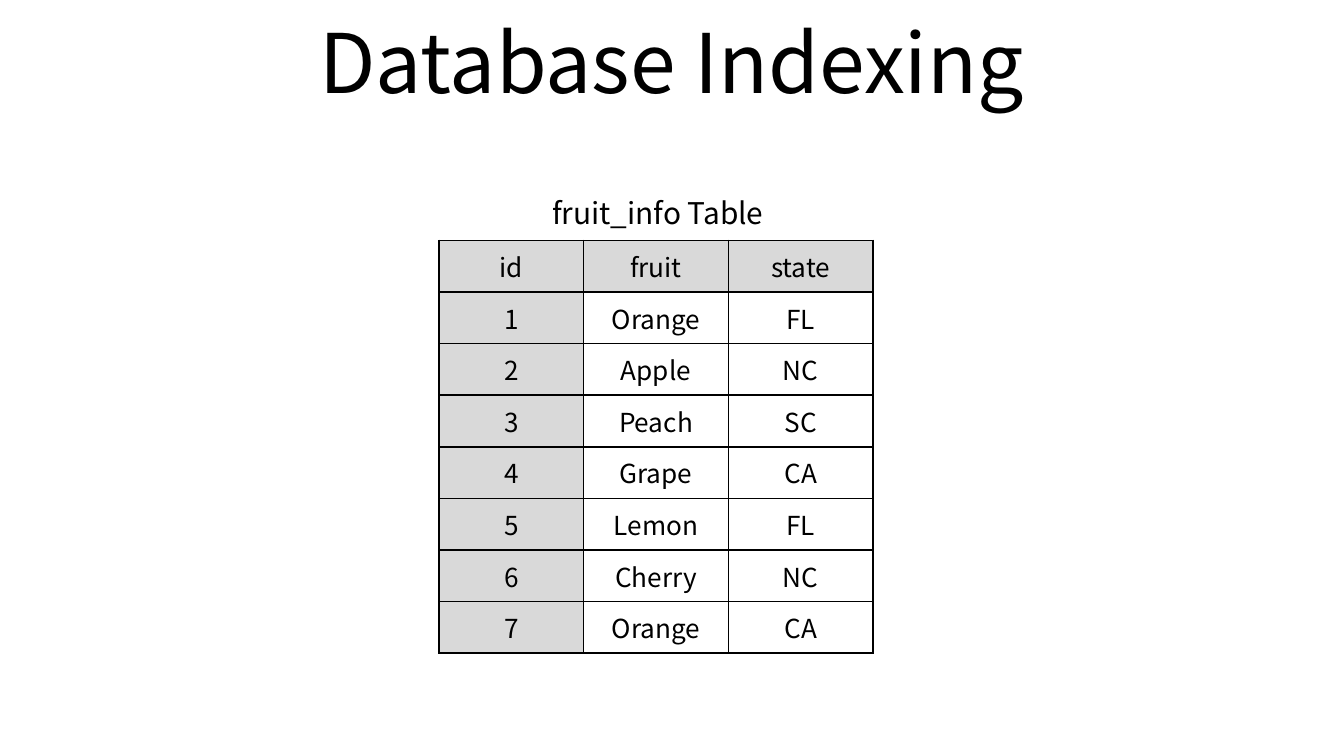
from dataclasses import dataclass

import pptx
import pptx.dml.color
import pptx.enum.text
import pptx.oxml.ns
import pptx.util
from lxml import etree

Pt = pptx.util.Pt
RGB = pptx.dml.color.RGBColor.from_string
ALIGN = pptx.enum.text.PP_ALIGN
ANCHOR = pptx.enum.text.MSO_ANCHOR


@dataclass(frozen=True)
class Theme:
    font: str = "Noto Sans CJK KR"
    ink: str = "000000"
    key_fill: str = "D9D9D9"
    title: int = 44
    caption: int = 16
    body: int = 14
    border: int = 1


THEME = Theme()

FRUIT_INFO = [
    ("id", "fruit", "state"),
    ("1", "Orange", "FL"),
    ("2", "Apple", "NC"),
    ("3", "Peach", "SC"),
    ("4", "Grape", "CA"),
    ("5", "Lemon", "FL"),
    ("6", "Cherry", "NC"),
    ("7", "Orange", "CA"),
]


def write(tf, text, size):
    p = tf.paragraphs[0]
    p.alignment = ALIGN.CENTER
    r = p.add_run()
    r.text = text
    for name, value in {"name": THEME.font, "size": Pt(size), "bold": False}.items():
        setattr(r.font, name, value)
    r.font.color.rgb = RGB(THEME.ink)


def add_title(s, text, left, top, width, height):
    sp = s.shapes.title
    box = {"left": left, "top": top, "width": width, "height": height}
    for name, value in box.items():
        setattr(sp, name, Pt(value))
    sp.text_frame.vertical_anchor = ANCHOR.MIDDLE
    write(sp.text_frame, text, THEME.title)


def add_caption(s, text, left, top, width, height):
    sp = s.shapes.add_textbox(Pt(left), Pt(top), Pt(width), Pt(height))
    tf = sp.text_frame
    tf.word_wrap = True
    tf.auto_size = pptx.enum.text.MSO_AUTO_SIZE.SHAPE_TO_FIT_TEXT
    write(tf, text, THEME.caption)


def add_borders(cell):
    """Draw all four sides; call before setting the cell's fill."""
    qn = pptx.oxml.ns.qn
    tc_pr = cell._tc.get_or_add_tcPr()
    for side in ("lnL", "lnR", "lnT", "lnB"):
        ln = etree.SubElement(tc_pr, qn(f"a:{side}"), w=str(Pt(THEME.border)))
        fill = etree.SubElement(ln, qn("a:solidFill"))
        etree.SubElement(fill, qn("a:srgbClr"), val=THEME.ink)


def add_data_table(s, rows, left, top, width, height):
    """Add a bordered table with its header row and key column shaded."""
    frame = s.shapes.add_table(
        len(rows), len(rows[0]), Pt(left), Pt(top), Pt(width), Pt(height))
    table = frame.table
    table.first_row = table.horz_banding = False
    for i, row in enumerate(rows):
        for j, text in enumerate(row):
            cell = table.cell(i, j)
            add_borders(cell)
            if i == 0 or j == 0:
                cell.fill.solid()
                cell.fill.fore_color.rgb = RGB(THEME.key_fill)
            else:
                cell.fill.background()
            write(cell.text_frame, text, THEME.body)


def main():
    prs = pptx.Presentation()
    prs.slide_width, prs.slide_height = Pt(720), Pt(405)
    s = prs.slides.add_slide(prs.slide_layouts[5])
    add_title(s, "Database Indexing", 36, -1.5, 648, 67.5)
    add_data_table(s, FRUIT_INFO, 235.2, 128.8, 232.5, 192)
    add_caption(s, "fruit_info Table", 277.2, 100.8, 150.5, 26.6)
    prs.save("out.pptx")


if __name__ == "__main__":
    main()
